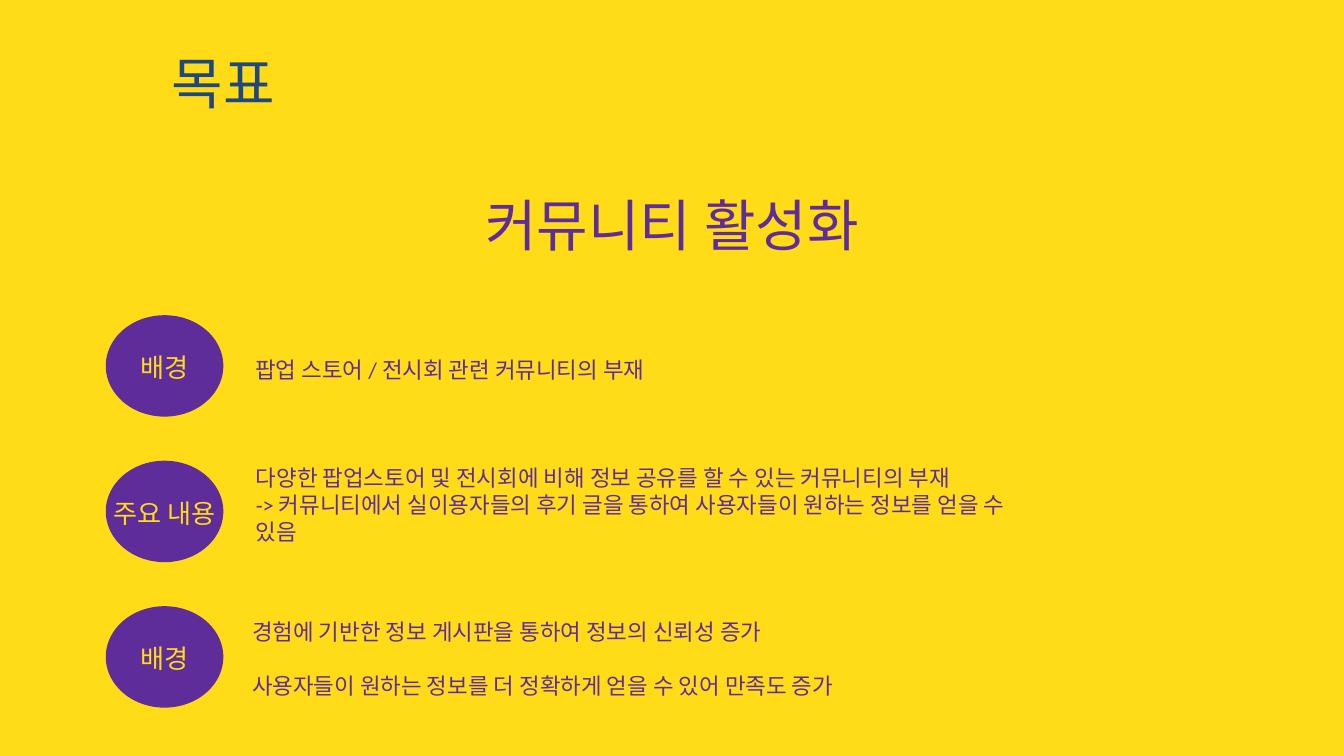
from dataclasses import dataclass

from pptx import Presentation
from pptx.dml.color import RGBColor
from pptx.enum.shapes import MSO_SHAPE
from pptx.enum.text import MSO_AUTO_SIZE, PP_ALIGN
from pptx.slide import Slide
from pptx.util import Pt

COLORS = {"yellow": "FFDC17", "purple": "5F2D9A", "navy": "1F497D"}
CIRCLE_LEFT, CIRCLE_TOP, CIRCLE_W, CIRCLE_H = 113.3, 337.7, 126, 108.7
ROW_PITCH = 155.9
LABEL_OFFSET, LABEL_H = 35.5, 41
BODY_W = 821.5


@dataclass
class Row:
    label: str
    label_w: float
    lines: list[str]
    body_left: float
    body_offset: float
    body_h: float
    gap: float = 0


ROWS = [
    Row("배경", 77.8, ["팝업 스토어 / 전시회 관련 커뮤니티의 부재"], 266.4, 40.3, 36),
    Row("주요 내용", 175, [
        "다양한 팝업스토어 및 전시회에 비해 정보 공유를 할 수 있는 커뮤니티의 부재",
        "-> 커뮤니티에서 실이용자들의 후기 글을 통하여 사용자들이 원하는 정보를 얻을 수 있음",
    ], 267, 0.3, 94.3),
    Row("배경", 77.8, [
        "경험에 기반한 정보 게시판을 통하여 정보의 신뢰성 증가",
        "사용자들이 원하는 정보를 더 정확하게 얻을 수 있어 만족도 증가",
    ], 263, 9.3, 94.3, gap=29),
]


def rgb(name: str) -> RGBColor:
    return RGBColor.from_string(COLORS[name])


def add_text(s: Slide, lines: list[str], left: float, top: float, width: float,
             height: float, *, size: float, color: str = "purple",
             font: str = "Calibri", align: PP_ALIGN = PP_ALIGN.CENTER,
             gap: float = 0) -> None:
    tf = s.shapes.add_textbox(Pt(left), Pt(top), Pt(width), Pt(height)).text_frame
    tf.word_wrap = True
    tf.auto_size = MSO_AUTO_SIZE.SHAPE_TO_FIT_TEXT
    for i, line in enumerate(lines):
        p = tf.add_paragraph() if i else tf.paragraphs[0]
        p.alignment = align
        if i and gap:
            p.space_before = Pt(gap)
        r = p.add_run()
        r.text = line
        r.font.name = font
        r.font.size = Pt(size)
        r.font.color.rgb = rgb(color)


def add_row(s: Slide, row: Row, top: float) -> None:
    sp = s.shapes.add_shape(MSO_SHAPE.OVAL, Pt(CIRCLE_LEFT), Pt(top),
                            Pt(CIRCLE_W), Pt(CIRCLE_H))
    sp.shadow.inherit = False
    sp.fill.solid()
    sp.fill.fore_color.rgb = rgb("purple")
    sp.line.fill.background()
    label_left = CIRCLE_LEFT + (CIRCLE_W - row.label_w) / 2
    add_text(s, [row.label], label_left, top + LABEL_OFFSET, row.label_w, LABEL_H,
             size=28, color="yellow")
    add_text(s, row.lines, row.body_left, top + row.body_offset, BODY_W, row.body_h,
             size=24, align=PP_ALIGN.LEFT, gap=row.gap)


def main() -> None:
    prs = Presentation()
    prs.slide_width, prs.slide_height = Pt(1440), Pt(810)
    s = prs.slides.add_slide(prs.slide_layouts[6])
    s.background.fill.solid()
    s.background.fill.fore_color.rgb = rgb("yellow")

    add_text(s, ["목표"], 44.6, 48.2, 389.5, 80, size=60, color="navy",
             font="Noto Sans CJK KR")
    add_text(s, ["커뮤니티 활성화"], 372.2, 200.9, 695.5, 80, size=60)
    for i, row in enumerate(ROWS):
        add_row(s, row, CIRCLE_TOP + i * ROW_PITCH)
    prs.save("out.pptx")


if __name__ == "__main__":
    main()
